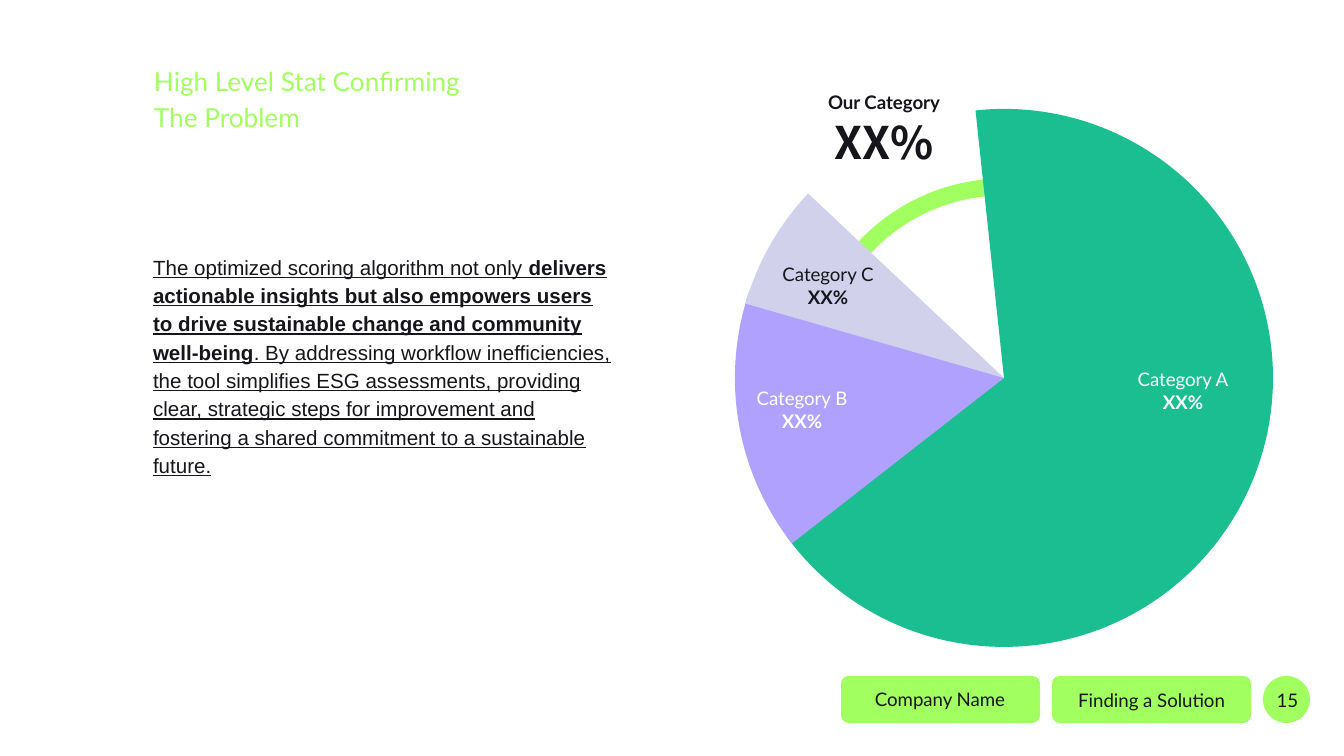
"""Build the category share slide with a fanned pie and footer tags."""
from pptx import Presentation
from pptx.dml.color import RGBColor
from pptx.enum.shapes import MSO_SHAPE
from pptx.enum.text import MSO_ANCHOR, PP_ALIGN
from pptx.util import Pt

PX = 914400 / 134.4
COLORS = {"ink": "15151B", "white": "FFFFFF", "lime": "A1FF5F",
          "green": "1BBE90", "violet": "B1A1FF", "mist": "D1D1EB"}

TITLE = ["High Level Stat Confirming", "The Problem"]
BODY = [
    ("The optimized scoring algorithm not only ", False),
    ("delivers actionable insights but also empowers users to drive "
     "sustainable change and community well-being", True),
    (". By addressing workflow inefficiencies, the tool simplifies ESG "
     "assessments, providing clear, strategic steps for improvement and "
     "fostering a shared commitment to a sustainable future.", False),
]
RING = (813, 187, 382, 382)
PIE = (735, 109, 538, 538)
SLICES = [("green", 263.93, 143.76), ("violet", 142.04, 198.91), ("mist", 196.05, 223.29)]
LABELS = [
    ("Category A", "white", (1109, 359, 148, 66)),
    ("Category B", "white", (728, 378, 148, 66)),
    ("Category C", "ink", (762, 254, 132, 66)),
]
TAGS = [
    (MSO_SHAPE.ROUNDED_RECTANGLE, (841, 676, 199, 47), "Company Name", (843, 679, 194, 40)),
    (MSO_SHAPE.ROUNDED_RECTANGLE, (1052, 676, 199, 47), "Finding a Solution", (1052, 671, 199, 58)),
    (MSO_SHAPE.OVAL, (1263, 676, 47, 47), "15", (1247, 671, 81, 58)),
]


def px(value):
    return round(value * PX)


def color(name):
    return RGBColor.from_string(COLORS[name])


def add_shape(page, kind, place, fill=None, line=None, width=0):
    shape = page.shapes.add_shape(kind, *map(px, place))
    shape.shadow.inherit = False
    if fill:
        shape.fill.solid()
        shape.fill.fore_color.rgb = color(fill)
    else:
        shape.fill.background()
    if line:
        shape.line.color.rgb = color(line)
        shape.line.width = Pt(width)
    else:
        shape.line.fill.background()
    return shape


def set_frame(shape, inset, anchor=MSO_ANCHOR.TOP):
    frame = shape.text_frame
    frame.word_wrap = True
    frame.vertical_anchor = anchor
    frame.margin_left = frame.margin_right = px(inset)
    frame.margin_top = frame.margin_bottom = px(inset)
    return frame


def add_span(para, text, size, ink="ink", bold=False, font="Lato", underline=False):
    span = para.add_run()
    span.text = text
    span.font.size = Pt(size)
    span.font.name = font
    span.font.bold = bold
    span.font.underline = underline
    span.font.color.rgb = color(ink)
    return span


def add_label(page, place, lines, inset=9, anchor=MSO_ANCHOR.TOP):
    frame = set_frame(page.shapes.add_textbox(*map(px, place)), inset, anchor)
    for index, (text, style) in enumerate(lines):
        para = frame.add_paragraph() if index else frame.paragraphs[0]
        para.alignment = PP_ALIGN.CENTER
        add_span(para, text, **style)


def add_copy(page):
    panel = add_shape(page, MSO_SHAPE.RECTANGLE, (140, 238, 484, 419), line="white", width=0.75)
    para = set_frame(panel, 13).paragraphs[0]
    para.alignment = PP_ALIGN.LEFT
    para.line_spacing = 1.15
    for text, bold in BODY:
        add_span(para, text, 11, bold=bold, font="Arial", underline=True)

    title = page.shapes.add_textbox(*map(px, (141, 48, 523, 58)))
    para = set_frame(title, 13).paragraphs[0]
    para.line_spacing = 1.15
    para.space_after = Pt(12)
    for index, text in enumerate(TITLE):
        if index:
            para.add_line_break()
        add_span(para, text, 14, "lime")


def add_pie(page):
    add_shape(page, MSO_SHAPE.OVAL, RING, line="lime", width=9)
    for fill, start, end in SLICES:
        piece = add_shape(page, MSO_SHAPE.PIE, PIE, fill)
        for index, degrees in enumerate((start, end)):
            piece.adjustments[index] = degrees * 0.6
    for name, ink, place in LABELS:
        add_label(page, place, [(name, {"size": 10, "ink": ink}),
                                ("XX%", {"size": 10, "ink": ink, "bold": True})])
    add_label(page, (810, 109, 148, 66),
              [("XX%", {"size": 24, "bold": True, "font": "Noto Sans CJK KR"})],
              anchor=MSO_ANCHOR.MIDDLE)
    add_label(page, (810, 82, 148, 39), [("Our Category", {"size": 10, "bold": True})])


def add_footer(page):
    for kind, place, text, text_place in TAGS:
        tag = add_shape(page, kind, place, "lime")
        if kind == MSO_SHAPE.ROUNDED_RECTANGLE:
            tag.adjustments[0] = 0.16
        add_label(page, text_place, [(text, {"size": 10})], 13, MSO_ANCHOR.MIDDLE)


def main():
    deck = Presentation()
    deck.slide_width, deck.slide_height = px(1344), px(756)
    page = deck.slides.add_slide(deck.slide_layouts[6])
    add_copy(page)
    add_pie(page)
    add_footer(page)
    deck.save("out.pptx")


if __name__ == "__main__":
    main()
